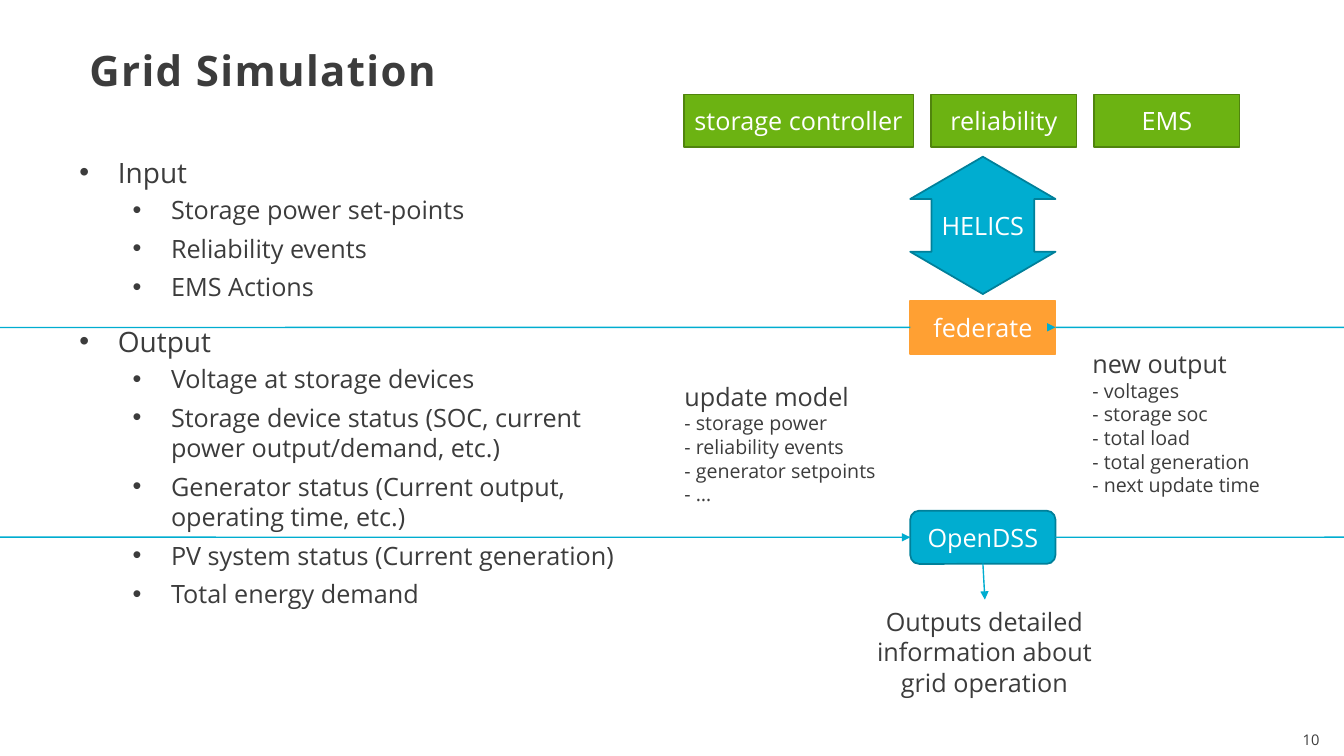
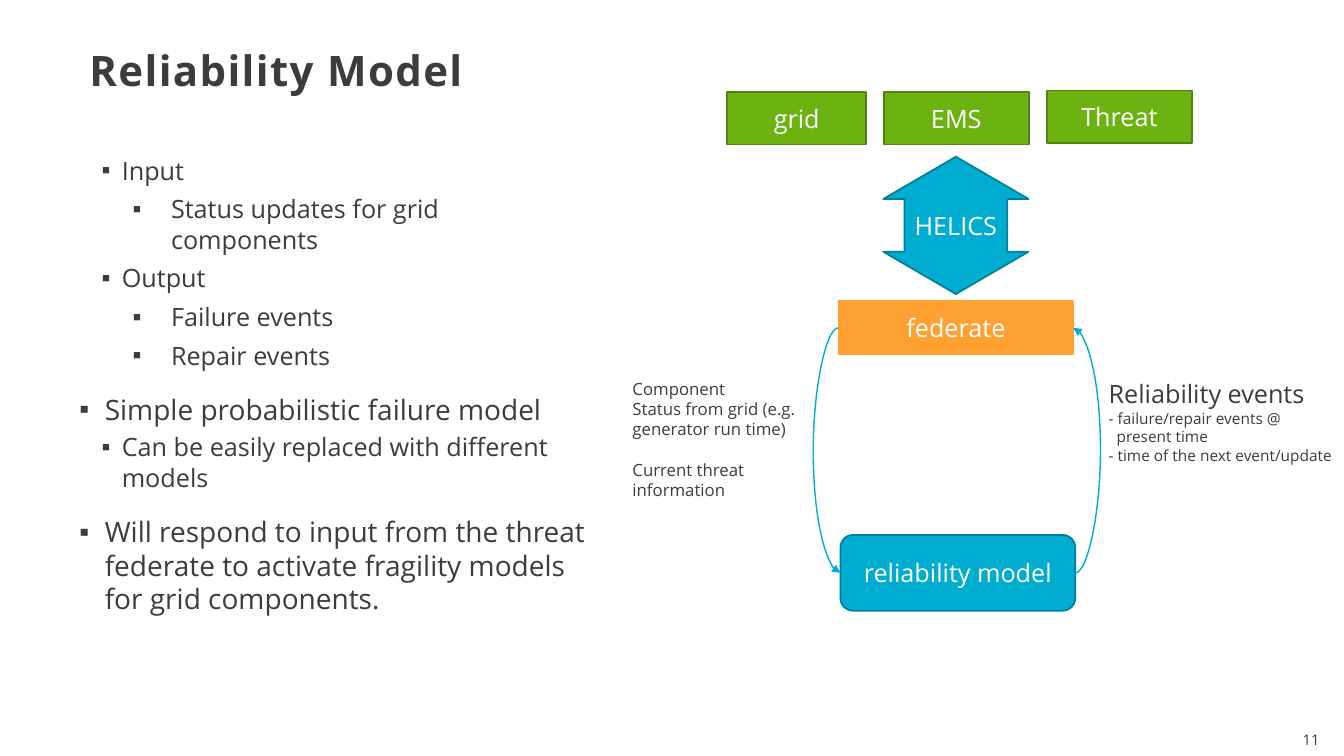
"""Build two slides on the grid simulation and reliability federates."""
from lxml.etree import SubElement
from pptx import Presentation
from pptx.dml.color import RGBColor
from pptx.enum.shapes import MSO_CONNECTOR, MSO_SHAPE
from pptx.enum.text import MSO_ANCHOR, MSO_AUTO_SIZE, PP_ALIGN
from pptx.oxml.ns import qn
from pptx.util import Cm, Pt

FONT = "Open Sans"
TEXT = "3C3C3C"
WHITE = "FFFFFF"
BLUE = "00ADD0"
BULGE = Cm(0.635)
LEFT_SITE, RIGHT_SITE = 1, 3
BUS_GUIDES = {"adj1": 70700, "adj2": 30800}

NODE_STYLES = {
    "peer": (MSO_SHAPE.RECTANGLE, "6CB312", "50840D"),
    "bus": (MSO_SHAPE.UP_DOWN_ARROW, BLUE, "00809A"),
    "federate": (MSO_SHAPE.RECTANGLE, "FFA033", "FFA033"),
    "model": (MSO_SHAPE.ROUNDED_RECTANGLE, BLUE, "00809A"),
}

# level, left margin, hanging indent, size, space before, space after
LIST_STYLES = {
    "wide": (0, 0.97, 0.97, 20, 12, 2),
    "main": (0, 0.64, 0.64, 20, 12, 2),
    "sub": (1, 1.07, 0.51, 18, 2, 4),
    "deep": (1, 2.31, 0.97, 18, 2, 4),
}

SLIDES = [
    {
        "title": "Grid Simulation",
        "number": "10",
        "bullet": "•",
        "body_width": 14.43,
        "items": [
            ("wide", "Input"),
            ("deep", "Storage power set-points"),
            ("deep", "Reliability events"),
            ("deep", "EMS Actions"),
            ("wide", "Output"),
            ("deep", "Voltage at storage devices"),
            ("deep", "Storage device status (SOC, current power output/demand, etc.)"),
            ("deep", "Generator status (Current output, operating time, etc.)"),
            ("deep", "PV system status (Current generation)"),
            ("deep", "Total energy demand"),
        ],
        "nodes": [
            ("model", "OpenDSS", 22.94, 12.87, 3.66, 1.34),
            ("federate", "federate", 22.94, 7.58, 3.66, 1.34),
            ("bus", "HELICS", 22.94, 3.95, 3.66, 3.46),
            ("peer", "storage controller", 17.23, 2.38, 5.79, 1.33),
            ("peer", "reliability", 23.47, 2.38, 3.66, 1.33),
            ("peer", "EMS", 27.58, 2.38, 3.66, 1.33),
        ],
        "notes": [
            ((17, 9.48, 5.38, 3.43), False, PP_ALIGN.LEFT, [
                ("update model", 18, 0, 0),
                ("- storage power", 14, 0, 0),
                ("- reliability events", 14, 0, 0),
                ("- generator setpoints", 14, 0, 0),
                ("- …", 14, 0, 0),
            ]),
            ((27.28, 8.66, 4.78, 4.01), False, PP_ALIGN.LEFT, [
                ("new output", 18, 0, 0),
                ("- voltages", 14, 0, 0),
                ("- storage soc", 14, 0, 0),
                ("- total load", 14, 0, 0),
                ("- total generation", 14, 0, 0),
                ("- next update time", 14, 0, 0),
            ]),
            ((21.29, 15.16, 7.04, 2.57), True, PP_ALIGN.CENTER, [
                ("Outputs detailed information about grid operation", 18, 0, 0),
            ]),
        ],
        "output_arrow": (24.77, 14.2, 24.82, 15.11),
    },
    {
        "title": "Reliability Model",
        "number": "11",
        "bullet": "▪",
        "body_width": 12.85,
        "items": [
            ("sub", "Input"),
            ("deep", "Status updates for grid components"),
            ("sub", "Output"),
            ("deep", "Failure events"),
            ("deep", "Repair events"),
            ("main", "Simple probabilistic failure model"),
            ("sub", "Can be easily replaced with different models"),
            ("main", "Will respond to input from the threat federate to activate "
                     "fragility models for grid components."),
        ],
        "nodes": [
            ("model", "reliability model", 21.18, 13.48, 5.92, 1.91),
            ("federate", "federate", 21.13, 7.59, 5.92, 1.34),
            ("bus", "HELICS", 22.26, 3.95, 3.66, 3.46),
            ("peer", "grid", 18.33, 2.31, 3.5, 1.33),
            ("peer", "EMS", 22.27, 2.31, 3.66, 1.33),
            ("peer", "Threat", 26.38, 2.28, 3.66, 1.33),
        ],
        "notes": [
            ((15.69, 9.42, 4.98, 3.33), True, PP_ALIGN.LEFT, [
                ("Component", 12, 0, 0),
                ("Status from grid (e.g. generator run time)", 12, 0, 0),
                ("Current threat information", 12, 14.4, 0),
            ]),
            ((27.69, 9.42, 6.15, 2.44), False, PP_ALIGN.LEFT, [
                ("Reliability events", 18, 0, 0),
                ("- failure/repair events @", 11, 0, 0),
                ("present time", 11, 0, 0.2),
                ("- time of the next event/update", 11, 0, 0),
            ]),
        ],
        "output_arrow": None,
    },
]


def rgb(value):
    return RGBColor.from_string(value)


def style_arrow(connector):
    connector.line.color.rgb = rgb(BLUE)
    connector.line.width = Pt(1)
    SubElement(connector.line._get_or_add_ln(), qn("a:tailEnd"), type="triangle")
    SubElement(connector._element.spPr, qn("a:effectLst"))


deck = Presentation()
deck.slide_width = Cm(33.87)
deck.slide_height = Cm(19.05)

for content in SLIDES:
    page = deck.slides.add_slide(deck.slide_layouts[1])

    title = page.shapes.title
    title.left, title.top, title.width, title.height = Cm(2), Cm(1.24), Cm(27.66), Cm(1.24)
    frame = title.text_frame
    frame.text = content["title"]
    frame.auto_size = MSO_AUTO_SIZE.NONE
    frame.vertical_anchor = MSO_ANCHOR.MIDDLE
    para = frame.paragraphs[0]
    para.alignment = PP_ALIGN.LEFT
    para.line_spacing = 0.85
    font = para.runs[0].font
    font.name, font.size, font.bold = FONT, Pt(30), True
    font.color.rgb = rgb(TEXT)
    para.runs[0]._r.get_or_add_rPr().set("spc", "100")

    body = page.placeholders[1]
    body.left, body.top = Cm(2), Cm(3.78)
    body.width, body.height = Cm(content["body_width"]), Cm(13.06)
    frame = body.text_frame
    frame.text = "\n".join(text for style, text in content["items"])
    frame.auto_size = MSO_AUTO_SIZE.NONE
    frame.vertical_anchor = MSO_ANCHOR.TOP
    frame.margin_left = frame.margin_right = 0
    for para, (style, text) in zip(frame.paragraphs, content["items"]):
        level, margin, hanging, size, before, after = LIST_STYLES[style]
        para.level = level
        para.space_before, para.space_after = Pt(before), Pt(after)
        properties = para._p.get_or_add_pPr()
        properties.set("marL", str(Cm(margin)))
        properties.set("indent", str(-Cm(hanging)))
        SubElement(properties, qn("a:buFont"), typeface="Arial")
        SubElement(properties, qn("a:buChar"), char=content["bullet"])
        font = para.runs[0].font
        font.name, font.size = FONT, Pt(size)
        font.color.rgb = rgb(TEXT)

    nodes = {}
    for style, label, left, top, width, height in content["nodes"]:
        preset, fill, outline = NODE_STYLES[style]
        node = page.shapes.add_shape(preset, Cm(left), Cm(top), Cm(width), Cm(height))
        node.shadow.inherit = False
        node.fill.solid()
        node.fill.fore_color.rgb = rgb(fill)
        node.line.color.rgb = rgb(outline)
        node.line.width = Pt(1.25)
        if style == "bus":
            guides = node._element.spPr.find(qn("a:prstGeom")).find(qn("a:avLst"))
            guides.clear()
            for name, value in BUS_GUIDES.items():
                SubElement(guides, qn("a:gd"), name=name, fmla=f"val {value}")
        frame = node.text_frame
        frame.text = label
        frame.margin_left = frame.margin_right = 0
        frame.vertical_anchor = MSO_ANCHOR.MIDDLE
        para = frame.paragraphs[0]
        para.alignment = PP_ALIGN.CENTER
        font = para.runs[0].font
        font.name, font.size = FONT, Pt(18)
        font.color.rgb = rgb(WHITE)
        nodes[style] = node

    federate, model = nodes["federate"], nodes["model"]
    top = federate.top + federate.height // 2
    bottom = model.top + model.height // 2
    offset = model.left - federate.left
    loops = [
        (federate, model, LEFT_SITE, federate.left, 1),
        (model, federate, RIGHT_SITE, federate.left + federate.width, 2),
    ]
    for source, target, site, left, least_width in loops:
        loop = page.shapes.add_connector(MSO_CONNECTOR.CURVE, 0, 0, 0, 0)
        loop.begin_connect(source, site)
        loop.end_connect(target, site)
        width = max(offset, least_width)
        loop.left, loop.top, loop.width, loop.height = left, top, width, bottom - top
        transform = loop._element.spPr.find(qn("a:xfrm"))
        transform.set("rot", "10800000" if site == LEFT_SITE else "0")
        transform.set("flipH", "1" if offset else "0")
        transform.set("flipV", "1")
        bend = -BULGE / width if offset else BULGE / width + 1
        guides = loop._element.spPr.find(qn("a:prstGeom")).find(qn("a:avLst"))
        SubElement(guides, qn("a:gd"), name="adj1", fmla=f"val {round(bend * 100000)}")
        style_arrow(loop)

    if content["output_arrow"]:
        ends = [Cm(value) for value in content["output_arrow"]]
        style_arrow(page.shapes.add_connector(MSO_CONNECTOR.STRAIGHT, *ends))

    number = ((31.75, 18.29, 1.75, 0.74), True, PP_ALIGN.RIGHT,
              [(content["number"], 10.5, 0, 0)])
    for place, wrap, alignment, lines in content["notes"] + [number]:
        box = page.shapes.add_textbox(*[Cm(value) for value in place])
        frame = box.text_frame
        frame.word_wrap = wrap
        frame.text = "\n".join(line[0] for line in lines)
        for para, (text, size, before, margin) in zip(frame.paragraphs, lines):
            para.alignment = alignment
            para.space_before = Pt(before)
            para._p.get_or_add_pPr().set("marL", str(Cm(margin)))
            font = para.runs[0].font
            font.name, font.size = FONT, Pt(size)
            font.color.rgb = rgb(TEXT)

deck.save("out.pptx")
